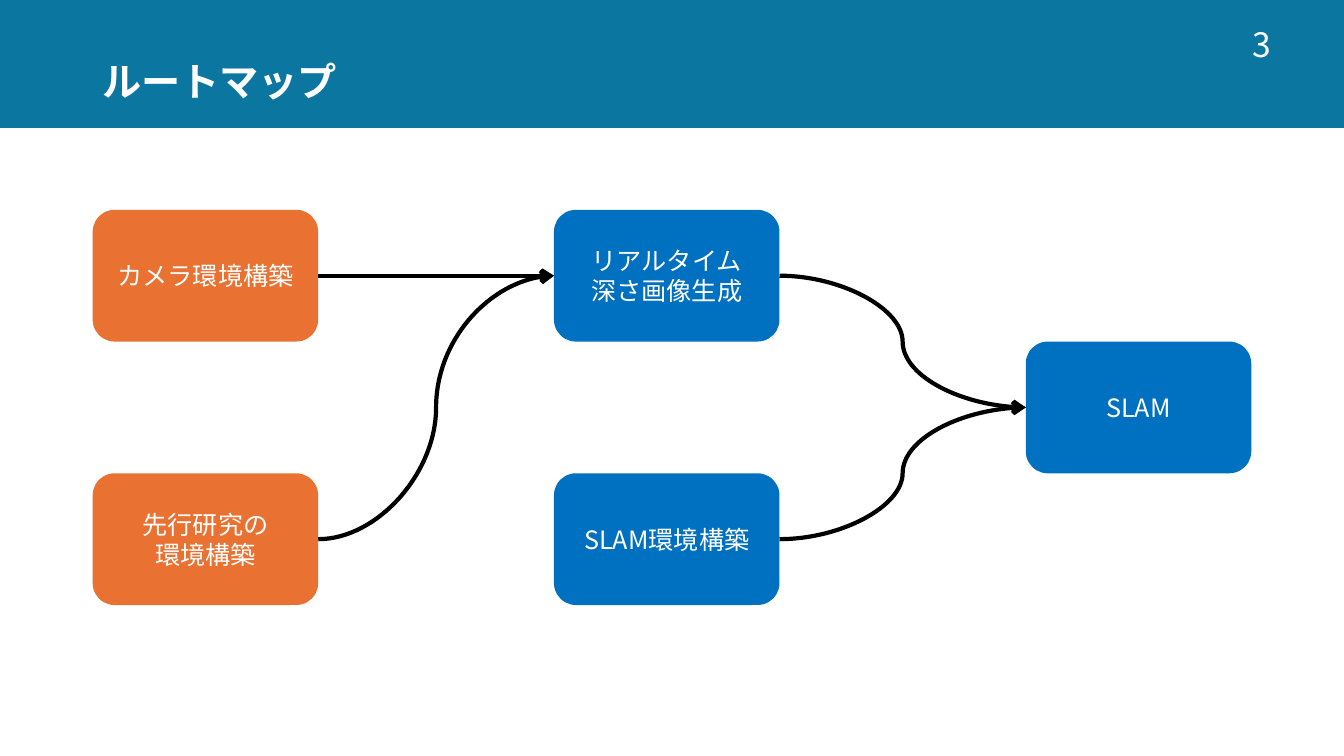
from lxml.etree import SubElement
from pptx import Presentation
from pptx.dml.color import RGBColor
from pptx.enum.shapes import MSO_CONNECTOR as CONN, MSO_SHAPE as SHAPE
from pptx.enum.text import MSO_ANCHOR as ANCHOR, PP_ALIGN as ALIGN
from pptx.oxml.ns import qn
from pptx.util import Pt

FONT = "Noto Sans CJK JP"
WHITE, BLACK, TEAL, ORANGE, BLUE = "FFFFFF", "000000", "0B76A0", "E97132", "0070C0"
SLIDE_W, SLIDE_H, BANNER_H = 960, 540, 91.4

TITLE = "ルートマップ"
PAGE = "3"
# name: (text, column, row, colour)
STEPS = {
    "camera": ("カメラ環境構築", 0, 0, ORANGE),
    "prior": ("先行研究の\n環境構築", 0, 2, ORANGE),
    "depth": ("リアルタイム\n深さ画像生成", 1, 0, BLUE),
    "slam_env": ("SLAM環境構築", 1, 2, BLUE),
    "slam": ("SLAM", 2, 1, BLUE),
}
ARROWS = [
    ("camera", "depth", CONN.STRAIGHT),
    ("prior", "depth", CONN.CURVE),
    ("depth", "slam", CONN.CURVE),
    ("slam_env", "slam", CONN.CURVE),
]
COLUMNS = (66.2, 395.7, 732.7)
TOP, BOX_W, BOX_H = 149.9, 161.1, 94.1
RIGHT_SIDE, LEFT_SIDE = 3, 1


def rgb(value):
    return RGBColor.from_string(value)


def write(sp, text, align, spacing=None, **fmt):
    tf = sp.text_frame
    tf.word_wrap = True
    tf.vertical_anchor = ANCHOR.MIDDLE
    p = tf.paragraphs[0]
    p.text = text
    p.alignment = align
    if spacing:
        p.line_spacing = spacing
    for r in p.runs:
        for name, value in {"name": FONT, **fmt}.items():
            setattr(r.font, name, value)
        r.font.color.rgb = rgb(WHITE)
        SubElement(r._r.get_or_add_rPr(), qn("a:ea"), typeface=FONT)


def add_box(s, shape, box, colour):
    sp = s.shapes.add_shape(shape, *map(Pt, box))
    sp.shadow.inherit = False
    sp.fill.solid()
    sp.fill.fore_color.rgb = rgb(colour)
    sp.line.fill.background()
    return sp


def add_text(s, box, *args, **fmt):
    write(s.shapes.add_textbox(*map(Pt, box)), *args, **fmt)


def add_arrow(s, kind, start, end):
    line = s.shapes.add_connector(kind, 0, 0, 0, 0)
    line.begin_connect(start, RIGHT_SIDE)
    line.end_connect(end, LEFT_SIDE)
    line.line.width = Pt(3)
    line.line.color.rgb = rgb(BLACK)
    SubElement(line.line._get_or_add_ln(), qn("a:tailEnd"), type="arrow")
    SubElement(line._element.spPr, qn("a:effectLst"))


def main():
    prs = Presentation()
    prs.slide_width, prs.slide_height = Pt(SLIDE_W), Pt(SLIDE_H)
    s = prs.slides.add_slide(prs.slide_layouts[6])

    add_box(s, SHAPE.RECTANGLE, (0, 0, SLIDE_W, BANNER_H), TEAL)
    add_text(s, (66, 28.8, 828, 62.6), TITLE, ALIGN.LEFT, 0.9, size=Pt(28), bold=True)
    add_text(s, (842.2, 0, 117.8, 62.6), PAGE, ALIGN.CENTER, size=Pt(24))

    boxes = {}
    for name, (text, col, row, colour) in STEPS.items():
        box = (COLUMNS[col], TOP + row * BOX_H, BOX_W, BOX_H)
        boxes[name] = add_box(s, SHAPE.ROUNDED_RECTANGLE, box, colour)
        write(boxes[name], text, ALIGN.CENTER, size=Pt(18))

    for start, end, kind in ARROWS:
        add_arrow(s, kind, boxes[start], boxes[end])

    prs.save("out.pptx")


if __name__ == "__main__":
    main()
